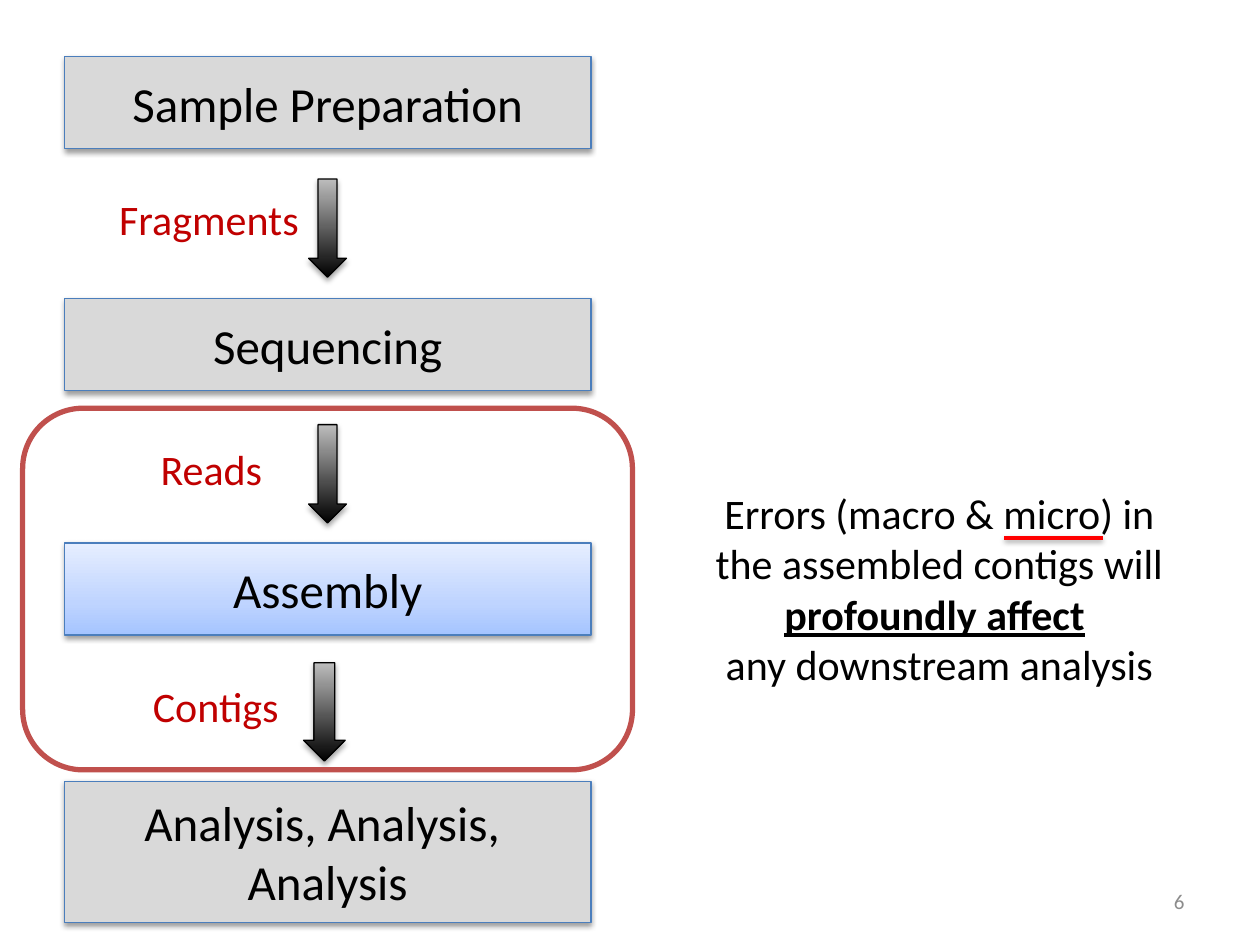
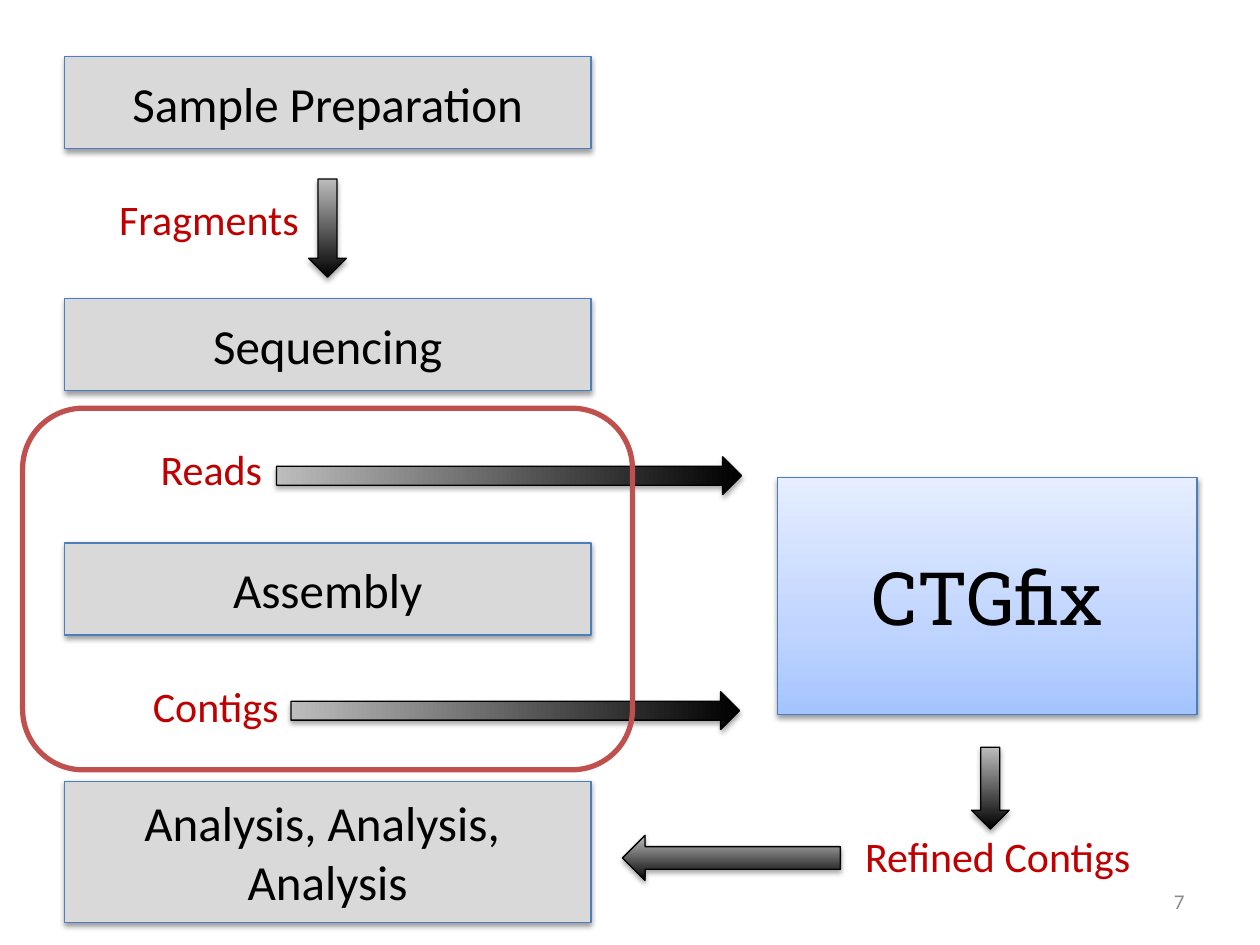
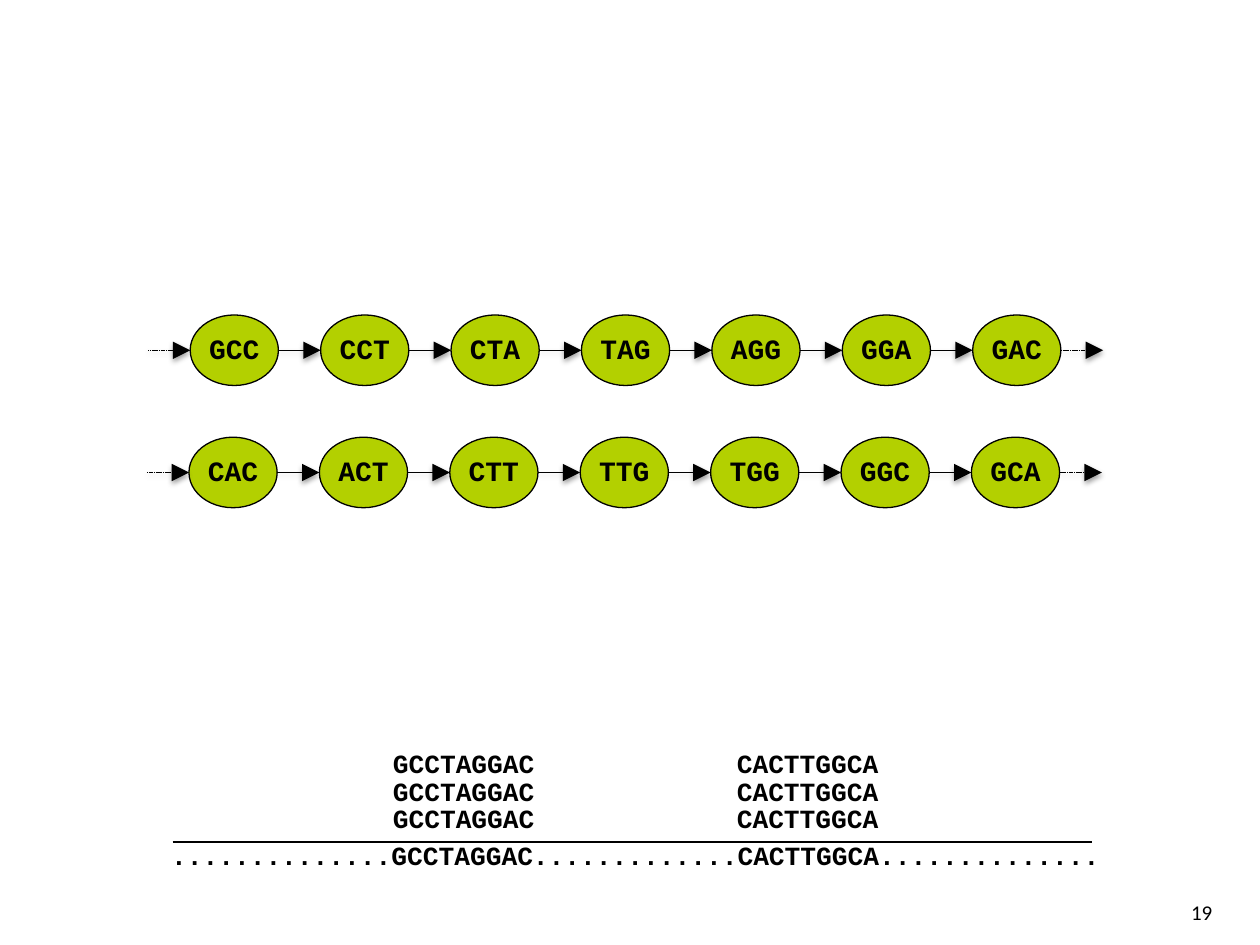
import pptx
import pptx.util
import pptx.dml.color
import pptx.enum.dml
import pptx.enum.shapes
import pptx.enum.text
import pptx.oxml.ns
from lxml import etree

Inches, Pt = pptx.util.Inches, pptx.util.Pt
Kind = pptx.enum.shapes.MSO_SHAPE
Dash = pptx.enum.dml.MSO_LINE
Align = pptx.enum.text.PP_ALIGN
Anchor = pptx.enum.text.MSO_ANCHOR
Fit = pptx.enum.text.MSO_AUTO_SIZE
qn = pptx.oxml.ns.qn

COLORS = {"black": "000000", "gray": "D9D9D9", "blue": "4B7EBC", "label": "C00000",
          "frame": "C0504D", "red": "FF0000", "page": "8C8C8C", "lime": "B3D000"}
FADES = {"dark": [(0, "000000"), (100, "BDBDBD")],
         "sky": [(0, "A4C4FF"), (35, "BFD4FF"), (100, "E6EEFF")]}
MONO = "Courier New"


def rgb(name):
    return pptx.dml.color.RGBColor.from_string(COLORS[name])


def tint(node, code):
    return etree.SubElement(node, qn("a:srgbClr"), val=code)


def fade(shape, stops):
    """Fill a shape with color stops that run from its bottom to its top."""
    shape.fill.gradient()
    shape.fill.gradient_angle = 90
    steps = shape.element.spPr.find(".//" + qn("a:gsLst"))
    steps.clear()
    for place, code in stops:
        tint(etree.SubElement(steps, qn("a:gs"), pos=str(place * 1000)), code)


def shade(effects, alpha=38, dist=1.6):
    """Add a soft drop shadow to an effect list."""
    drop = etree.SubElement(effects, qn("a:outerShdw"), blurRad=str(Pt(3.1)),
                            dist=str(Pt(dist)), dir="5400000", rotWithShape="0")
    etree.SubElement(tint(drop, COLORS["black"]), qn("a:alpha"), val=str(alpha * 1000))


def write(frame, text, size=24, font="Calibri", color="black", bold=False,
          align=Align.CENTER, anchor=Anchor.TOP, wrap=True):
    """Set text, one paragraph a line; words between stars are bold and underlined."""
    frame.word_wrap = wrap
    frame.vertical_anchor = anchor
    for i, line in enumerate(text.split("\n")):
        para = frame.paragraphs[0] if i == 0 else frame.add_paragraph()
        para.alignment = align
        for j, part in enumerate(line.split("*")):
            run = para.add_run()
            run.text = part
            run.font.size, run.font.name = Pt(size), font
            run.font.color.rgb = rgb(color)
            run.font.bold = bold or j % 2 == 1
            run.font.underline = j % 2 == 1


class Deck:
    def __init__(self):
        self.file = pptx.Presentation()
        self.file.slide_width, self.file.slide_height = Inches(10), Inches(7.5)
        self.slide = None

    def new(self, page, left=7.17, top=6.95, color="page"):
        self.slide = self.file.slides.add_slide(self.file.slide_layouts[6])
        self.text(page, left, top, 2.33, 0.4, size=12, color=color,
                  align=Align.RIGHT, anchor=Anchor.MIDDLE)

    def text(self, text, left, top, width, height, **style):
        box = self.slide.shapes.add_textbox(*map(Inches, (left, top, width, height)))
        write(box.text_frame, text, **style)
        return box

    def label(self, text, left, top, width):
        box = self.text(text, left, top, width, 0.5, color="label",
                        align=Align.RIGHT, wrap=False)
        box.text_frame.auto_size = Fit.SHAPE_TO_FIT_TEXT

    def shape(self, kind, left, top, width, height, fill=None, line="black", weight=0.75):
        item = self.slide.shapes.add_shape(kind, *map(Inches, (left, top, width, height)))
        item.shadow.inherit = False
        if fill in FADES:
            fade(item, FADES[fill])
        elif fill:
            item.fill.solid()
            item.fill.fore_color.rgb = rgb(fill)
        else:
            item.fill.background()
        item.line.color.rgb = rgb(line)
        item.line.width = Pt(weight)
        return item

    def box(self, text, top, height=0.73, left=0.51, width=4.18, fill="gray",
            size=28, font="Calibri"):
        item = self.shape(Kind.FLOWCHART_PROCESS, left, top, width, height, fill, "blue")
        shade(item.element.spPr.find(qn("a:effectLst")))
        write(item.text_frame, text, size=size, font=font, anchor=Anchor.MIDDLE)

    def arrow(self, left, top, width=0.3, height=0.78, kind=Kind.DOWN_ARROW, turn=0):
        item = self.shape(kind, left, top, width, height, "dark")
        item.rotation = turn
        shade(item.element.spPr.find(qn("a:effectLst")), 35, 1.8)

    def oval(self, text, left, top, width, height):
        item = self.shape(Kind.OVAL, left, top, width, height, "lime")
        frame = item.text_frame
        frame.margin_left = frame.margin_right = frame.margin_top = 0
        frame.margin_bottom = Inches(0.03)
        write(frame, text, size=16, font=MONO, bold=True, anchor=Anchor.MIDDLE, wrap=False)

    def line(self, left, right, y, weight, color="black", dash=None, head=False, shadow=True):
        item = self.slide.shapes.add_connector(
            pptx.enum.shapes.MSO_CONNECTOR.STRAIGHT, *map(Inches, (left, y, right, y)))
        item.line.color.rgb = rgb(color)
        item.line.width = Pt(weight)
        if dash:
            item.line.dash_style = dash
        props = item.element.spPr
        if head:
            etree.SubElement(props.find(qn("a:ln")), qn("a:tailEnd"),
                             type="triangle", w="lg", len="lg")
        effects = etree.SubElement(props, qn("a:effectLst"))
        if shadow:
            shade(effects)

    def flow(self, fill):
        """Draw the steps that both workflow slides share."""
        self.box("Sample Preparation", 0.45)
        self.box("Sequencing", 2.37)
        self.box("Assembly", 4.31, fill=fill)
        self.box("Analysis, Analysis, \nAnalysis", 6.2, 1.12)
        self.arrow(2.45, 1.42)
        self.label("Fragments", 0.83, 1.49, 1.64)
        self.label("Reads", 1.16, 3.47, 1.02)
        self.label("Contigs", 1.1, 5.35, 1.21)

    def frame(self):
        self.shape(Kind.ROUNDED_RECTANGLE, 0.18, 3.24, 4.84, 2.87, line="frame", weight=3)

    def chain(self, words, left, top):
        """Draw a row of ovals with an arrow before, between and after them."""
        width, height = 0.7, 0.56
        step = 6.21 / (len(words) - 1)
        for i, word in enumerate(words):
            self.oval(word, left + i * step, top, width, height)
        for i in range(len(words) + 1):
            end = left + i * step
            dash = Dash.SQUARE_DOT if i in (0, len(words)) else None
            self.line(end - step + width, end, top + height / 2, 0.25, dash=dash, head=True)


def errors(deck):
    deck.new("6")
    deck.flow("sky")
    deck.arrow(2.45, 3.37)
    deck.arrow(2.41, 5.26, 0.33)
    deck.frame()
    deck.text("Errors (macro & micro) in\n"
              "the assembled contigs will *profoundly affect* \n"
              "any downstream analysis", 5.37, 3.82, 4.17, 1.72)
    deck.line(7.97, 8.75, 4.27, 2, "red")


def refine(deck):
    deck.new("7")
    deck.flow("gray")
    deck.arrow(3.89, 1.93, height=3.69, turn=270)
    deck.arrow(3.94, 3.86, height=3.56, turn=270)
    deck.box("CTGfix", 3.79, 1.88, 6.17, 3.33, "sky", 42, "Roboto Slab")
    deck.arrow(7.71, 5.93, height=0.65)
    deck.label("Refined Contigs", 6.76, 6.54, 2.31)
    deck.arrow(4.94, 6.63, 1.73, 0.36, Kind.LEFT_ARROW)
    deck.frame()


def graph(deck):
    deck.new("19", 7.39, 7.04, "black")
    deck.chain(["GCC", "CCT", "CTA", "TAG", "AGG", "GGA", "GAC"], 1.51, 2.5)
    deck.chain(["CAC", "ACT", "CTT", "TTG", "TGG", "GGC", "GCA"], 1.5, 3.47)
    deck.line(1.37, 8.67, 6.68, 1, shadow=False)
    style = {"size": 15, "font": MONO, "bold": True}
    deck.text("..............GCCTAGGAC.............CACTTGGCA..............",
              1.26, 6.61, 7.71, 0.35, align=Align.LEFT, **style)
    for read, left in (("GCCTAGGAC", 2.87), ("CACTTGGCA", 5.6)):
        for row in range(3):
            deck.text(read, left, 5.88 + row * 0.22, 1.62, 0.35, **style)


def main():
    deck = Deck()
    errors(deck)
    refine(deck)
    graph(deck)
    deck.file.save("out.pptx")


if __name__ == "__main__":
    main()
